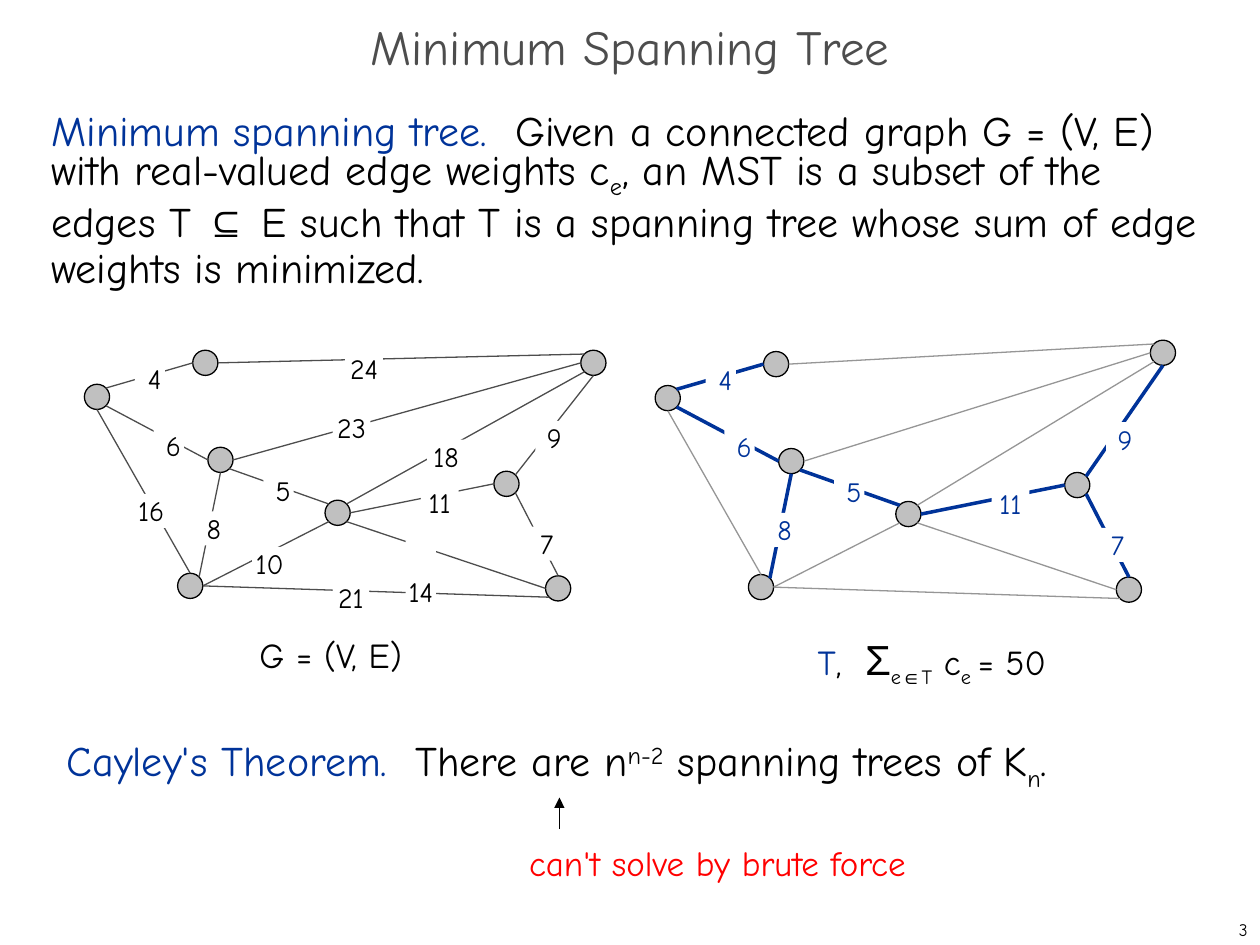
from collections import namedtuple

import lxml.etree
import pptx
import pptx.dml.color
import pptx.enum.shapes
import pptx.enum.text
import pptx.oxml.ns
import pptx.util

RGBColor = pptx.dml.color.RGBColor
ALIGN = pptx.enum.text.PP_ALIGN
ANCHOR = pptx.enum.text.MSO_ANCHOR
Pt = pptx.util.Pt

BLACK = RGBColor(0x00, 0x00, 0x00)
WHITE = RGBColor(0xFF, 0xFF, 0xFF)
BLUE = RGBColor(0x00, 0x33, 0x99)
RED = RGBColor(0xFF, 0x00, 0x00)
DARK_GRAY = RGBColor(0x4D, 0x4D, 0x4D)
MID_GRAY = RGBColor(0x96, 0x96, 0x96)
NODE_GRAY = RGBColor(0xC0, 0xC0, 0xC0)
FONT, SYMBOL_FONT = "Comic Neue", "Arial"

# The slide is a grid of 1000 columns and 750 rows of square cells.
COLUMNS, ROWS = 1000, 750
CELL = pptx.util.Inches(0.01)
SUB, SUPER = -25000, 30000

RADIUS, DIAGONAL = 10, 7
PORTS = {
    "n": (0, -RADIUS), "e": (RADIUS, 0), "s": (0, RADIUS), "w": (-RADIUS, 0),
    "ne": (DIAGONAL, -DIAGONAL), "se": (DIAGONAL, DIAGONAL),
    "sw": (-DIAGONAL, DIAGONAL), "nw": (-DIAGONAL, -DIAGONAL),
}
# Node centres, in cells from the corner of the graph
NODES = {
    "A": (10, 37), "B": (404, 10), "C": (376, 189), "D": (96, 10),
    "E": (108, 87), "F": (84, 187), "G": (335, 106), "H": (201, 129),
}
Edge = namedtuple("Edge", "start start_port end end_port weight label in_tree")
EDGES = [Edge(*row) for row in (
    ("A", "ne", "D", "w", " 4", (40, 9, 24, 27), True),
    ("A", "se", "E", "w", " 6", (55, 62, 24, 27), True),
    ("A", "s", "F", "n", "16", (41, 114, 24, 27), False),
    ("E", "e", "B", "w", "23", (197, 48, 30, 27), False),
    ("G", "ne", "B", "s", "9", (358, 56, 30, 27), True),
    ("E", "se", "H", "nw", " 5", (142, 98, 24, 27), True),
    ("H", "se", "C", "w", " 14", (255, 151, 24, 53), False),
    ("H", "e", "G", "w", "11", (267, 107, 30, 27), True),
    ("G", "se", "C", "n", "7", (352, 140, 30, 27), True),
    ("B", "sw", "H", "ne", "18", (272, 71, 30, 27), False),
    ("E", "s", "F", "ne", " 8", (87, 128, 24, 27), True),
    ("F", "e", "H", "sw", "10 ", (133, 156, 28, 27), False),
    ("D", "e", "B", "nw", "24", (207, 1, 30, 27), False),
    ("F", "e", "C", "sw", "21", (197, 183, 29, 27), False),
)]


def cells(*counts):
    return [round(count * CELL) for count in counts]


def set_all(target, values):
    for name, value in values.items():
        setattr(target, name, value)


def add_element(parent, tag, **attributes):
    lxml.etree.SubElement(parent, pptx.oxml.ns.qn(tag), attributes)


def add_runs(paragraph, runs, size):
    """Each run is (text, colour) plus an optional dict: size, name, baseline."""
    for text, colour, *extra in runs:
        values = {"size": Pt(size), "name": FONT, **(extra[0] if extra else {})}
        baseline = values.pop("baseline", None)
        run = paragraph.add_run()
        run.text = text
        set_all(run.font, values)
        run.font.color.rgb = colour
        if baseline:
            run.font._element.set("baseline", str(baseline))


def add_text(slide, box, paragraphs, size, frame=None, fill=None, **layout):
    textbox = slide.shapes.add_textbox(*cells(*box))
    if fill is not None:
        textbox.fill.solid()
        textbox.fill.fore_color.rgb = fill
    text_frame = textbox.text_frame
    set_all(text_frame, {"word_wrap": True, **(frame or {})})
    for index, runs in enumerate(paragraphs):
        paragraph = text_frame.add_paragraph() if index else text_frame.paragraphs[0]
        set_all(paragraph, layout)
        add_runs(paragraph, runs, size)
    return text_frame


def add_line(slide, start, end, colour, width):
    line = slide.shapes.add_connector(
        pptx.enum.shapes.MSO_CONNECTOR.STRAIGHT, *cells(*start, *end))
    line.line.color.rgb = colour
    line.line.width = Pt(width)
    add_element(line._element.spPr, "a:effectLst")
    return line


def add_node(slide, x, y):
    node = slide.shapes.add_shape(
        pptx.enum.shapes.MSO_SHAPE.OVAL,
        *cells(x - RADIUS, y - RADIUS, 2 * RADIUS, 2 * RADIUS))
    node.shadow.inherit = False
    node.fill.solid()
    node.fill.fore_color.rgb = NODE_GRAY
    node.line.color.rgb = BLACK
    node.line.width = Pt(0.75)


def add_graph(slide, left, top, nodes, edge_style, label_colour, caption_box, caption):
    """edge_style maps an edge to (colour, width, whether its weight shows)."""
    centres = {key: (left + x, top + y) for key, (x, y) in nodes.items()}
    for centre in centres.values():
        add_node(slide, *centre)

    def port(node, side):
        return [c + d for c, d in zip(centres[node], PORTS[side])]

    labelled = []
    for edge in EDGES:
        colour, width, shows_weight = edge_style(edge)
        add_line(slide, port(edge.start, edge.start_port),
                 port(edge.end, edge.end_port), colour, width)
        if shows_weight:
            labelled.append(edge)

    def inside(box):
        x, y, *extent = box
        return (left + x, top + y, *extent)

    margins = dict.fromkeys(
        ("margin_left", "margin_top", "margin_right", "margin_bottom"), 0)
    for edge in labelled:
        add_text(slide, inside(edge.label), [[(edge.weight, label_colour)]], 16,
                 margins, WHITE, alignment=ALIGN.CENTER)
    add_text(slide, inside(caption_box), [caption], 20)


def add_header(slide, box):
    add_text(slide, box, [[("Minimum Spanning Tree", DARK_GRAY)]], 28,
             {"vertical_anchor": ANCHOR.MIDDLE},
             alignment=ALIGN.CENTER, line_spacing=0.7)


def add_statements(slide, box):
    definition = [
        ("Minimum spanning tree.  ", BLUE),
        ("Given a connected graph G = (V, E) with real-valued edge weights c", BLACK),
        ("e", BLACK, {"baseline": SUB}),
        (", an MST is a subset of the edges T ", BLACK),
        ("⊆", BLACK, {"name": SYMBOL_FONT}),
        (" E such that T is a spanning tree whose sum of edge weights is minimized.",
         BLACK),
    ]
    theorem = [
        ("Cayley's Theorem.  ", BLUE),
        ("There are n", BLACK),
        ("n-2", BLACK, {"baseline": SUPER}),
        (" spanning trees of K", BLACK),
        ("n", BLACK, {"baseline": SUB}),
        (".", BLACK),
    ]
    leading = 26
    body = add_text(slide, box, [definition, theorem], 24, line_spacing=Pt(leading))
    theorem_paragraph = body.paragraphs[1]
    theorem_paragraph.space_before = Pt(10 * leading)
    theorem_paragraph._p.get_or_add_pPr().set("marL", str(cells(12)[0]))


def add_remark(slide, left, top):
    """Red remark with an arrow that points up at the theorem."""
    arrow = add_line(slide, (left + 34, top + 25), (left + 34, top), BLACK, 0.75)
    add_element(arrow.line._get_or_add_ln(), "a:tailEnd", type="triangle")
    add_text(slide, (left, top + 30, 322, 43),
             [[("can't solve by brute force", RED)]], 20, {"word_wrap": False})


def main():
    presentation = pptx.Presentation()
    presentation.slide_width, presentation.slide_height = cells(COLUMNS, ROWS)
    slide = presentation.slides.add_slide(presentation.slide_layouts[6])

    add_text(slide, (792, 725, 208, 25), [[("3", BLACK)]], 10,
             {"vertical_anchor": ANCHOR.MIDDLE}, alignment=ALIGN.RIGHT)
    add_header(slide, (0, 17, COLUMNS, 50))
    add_statements(slide, (31, 82, 939, 628))
    add_graph(slide, 67, 278, NODES, lambda edge: (DARK_GRAY, 0.75, True), BLACK,
              (129, 220, 222, 43), [("G = (V, E)", BLACK)])
    sub, symbol = {"baseline": SUB}, {"name": SYMBOL_FONT}
    add_graph(slide, 520, 279, {**NODES, "B": (403, 1)},
              lambda edge: (BLUE, 2, True) if edge.in_tree else (MID_GRAY, 0.75, False),
              BLUE, (119, 219, 242, 54),
              [("T", BLUE), (",  ", BLACK), ("Σ", BLACK, {**symbol, "size": Pt(24)}),
               ("e", BLACK, sub), ("∈", BLACK, {**sub, **symbol}), ("T", BLACK, sub),
               (" c", BLACK), ("e ", BLACK, sub), ("= 50", BLACK)])
    add_remark(slide, 410, 633)
    presentation.save("out.pptx")


if __name__ == "__main__":
    main()
